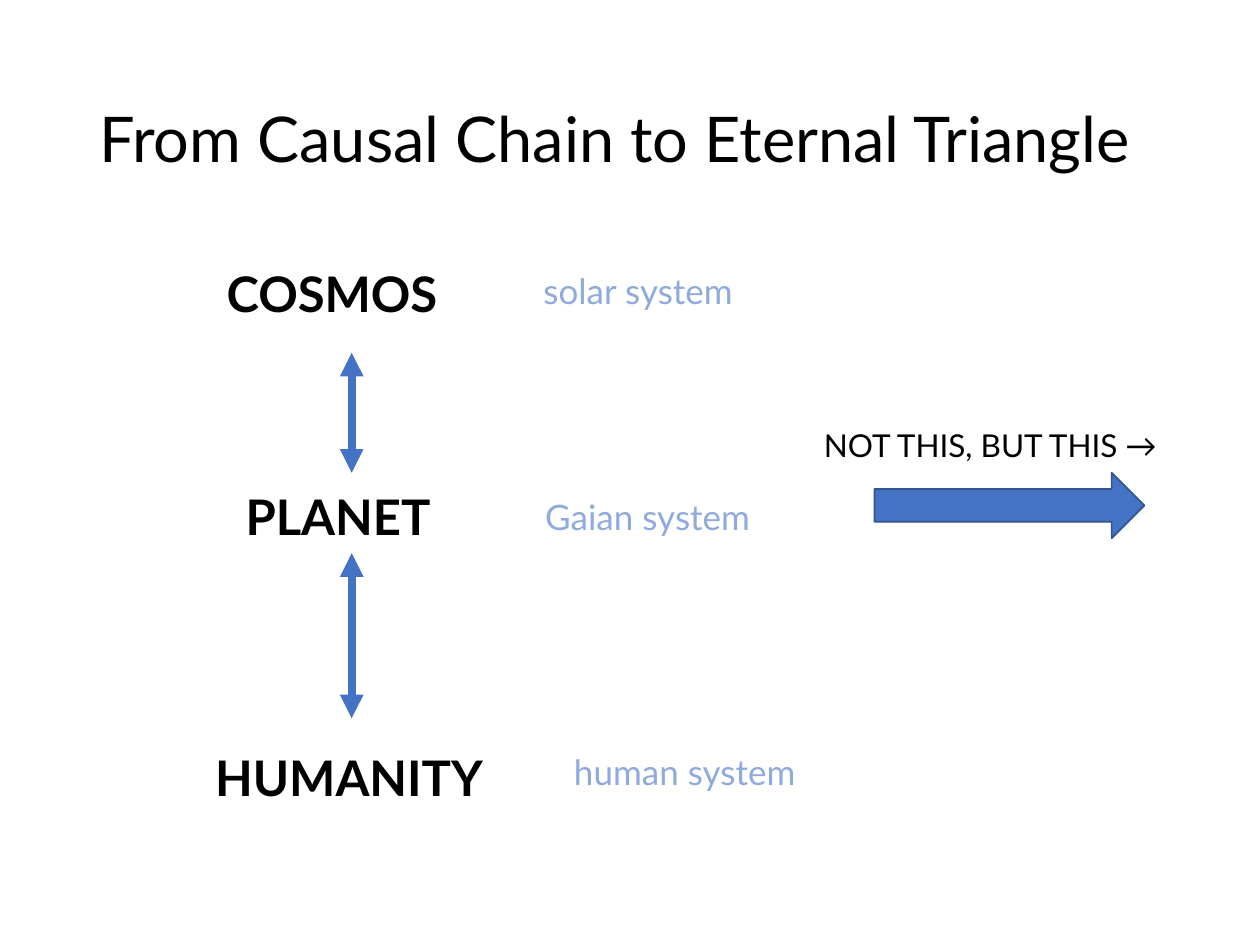
from pptx import Presentation
from pptx import util as u
from pptx.dml.color import RGBColor
from pptx.enum import shapes, text
from pptx.oxml.ns import qn
from lxml import etree

FONT = "Lato"
BLACK, BLUE, DARK_BLUE, PALE_BLUE = "000000", "4472C4", "325491", "8FAADC"
HEADING = {"size": u.Pt(28), "bold": True}
SYSTEM = {"size": u.Pt(20)}
LEVELS = [
    ("COSMOS", (4.32, 5.18, 5.03, 1.45), "solar system", (10.39, 5.31, 4.95, 1.12)),
    ("PLANET", (4.7, 9.68, 4.78, 1.45), "Gaian system", (10.39, 9.86, 5.33, 1.12)),
    ("HUMANITY", (4.09, 14.94, 7.92, 1.45), "human system", (10.92, 15.01, 5.77, 1.12)),
]
LINK_X = 7.09
LINKS = [(7.11, 9.53), (11.15, 14.48)]


def rgb(value):
    """Return the colour for a hex string."""
    return RGBColor.from_string(value)


def format_text(shape, content, color, font, align, anchor):
    """Write one paragraph into a shape and format it."""
    frame = shape.text_frame
    frame.text = content
    frame.word_wrap = True
    frame.auto_size = text.MSO_AUTO_SIZE.NONE
    frame.vertical_anchor = anchor
    paragraph = frame.paragraphs[0]
    paragraph.alignment = align
    run = paragraph.runs[0]
    for name, value in {"name": FONT, **font}.items():
        setattr(run.font, name, value)
    run.font.color.rgb = rgb(color)
    return paragraph


def add_title(slide, content, box):
    """Place and format the title placeholder."""
    title = slide.shapes.title
    for name, value in zip(("left", "top", "width", "height"), box):
        setattr(title, name, u.Cm(value))
    paragraph = format_text(title, content, BLACK, {"size": u.Pt(36)},
                            text.PP_ALIGN.LEFT, text.MSO_ANCHOR.MIDDLE)
    paragraph.line_spacing = 0.9


def add_label(slide, content, box, color, font, align=text.PP_ALIGN.LEFT):
    """Add a text box with one line of text."""
    shape = slide.shapes.add_textbox(*map(u.Cm, box))
    format_text(shape, content, color, font, align, text.MSO_ANCHOR.TOP)


def add_link(slide, x, top, bottom):
    """Add a vertical line with an arrowhead at both ends."""
    link = slide.shapes.add_connector(shapes.MSO_CONNECTOR.STRAIGHT,
                                      *map(u.Cm, (x, top, x, bottom)))
    link.line.color.rgb = rgb(BLUE)
    link.line.width = u.Pt(4.5)
    outline = link.line._get_or_add_ln()
    for end in ("a:headEnd", "a:tailEnd"):
        etree.SubElement(outline, qn(end), type="triangle")
    etree.SubElement(link._element.spPr, qn("a:effectLst"))


def add_block_arrow(slide, box):
    """Add a filled arrow that points right."""
    arrow = slide.shapes.add_shape(shapes.MSO_SHAPE.RIGHT_ARROW, *map(u.Cm, box))
    arrow.shadow.inherit = False
    arrow.fill.solid()
    arrow.fill.fore_color.rgb = rgb(BLUE)
    arrow.line.color.rgb = rgb(DARK_BLUE)
    arrow.line.width = u.Pt(1)


def main():
    """Build the slide and save it."""
    presentation = Presentation()
    presentation.slide_width, presentation.slide_height = u.Cm(25.4), u.Cm(19.05)
    slide = presentation.slides.add_slide(presentation.slide_layouts[5])
    add_title(slide, "From Causal Chain to Eternal Triangle", (1.75, 1.02, 21.89, 3.68))
    for heading, heading_box, system, system_box in LEVELS:
        add_label(slide, heading, heading_box, BLACK, HEADING)
        add_label(slide, system, system_box, PALE_BLUE, SYSTEM, text.PP_ALIGN.CENTER)
    for top, bottom in LINKS:
        add_link(slide, LINK_X, top, bottom)
    add_block_arrow(slide, (17.63, 9.53, 5.44, 1.32))
    add_label(slide, "NOT THIS, BUT THIS →", (16.36, 8.46, 8.38, 1.02), BLACK,
              {"size": u.Pt(18)})
    presentation.save("out.pptx")


if __name__ == "__main__":
    main()
